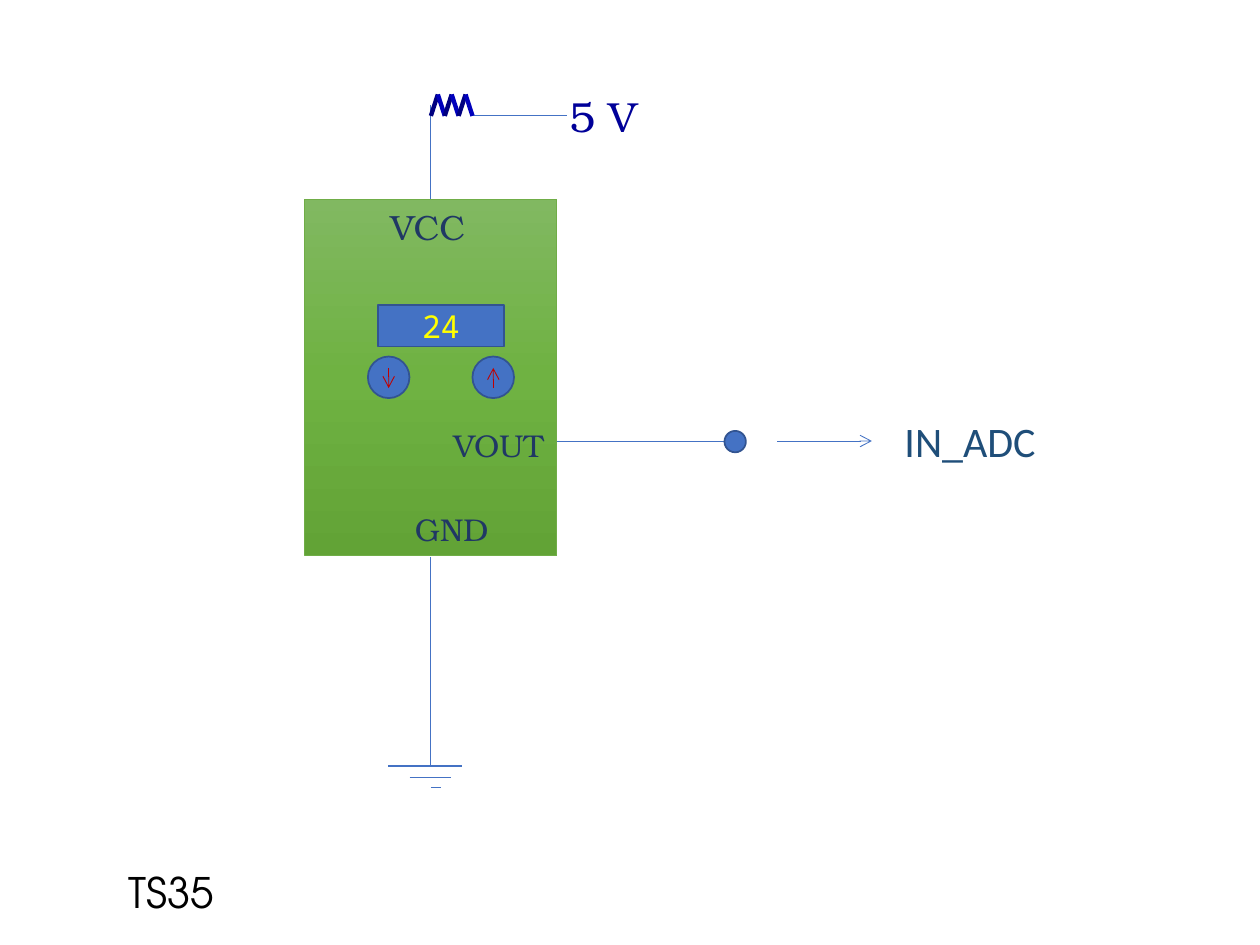
import copy
from dataclasses import dataclass

import pptx
import pptx.dml.color
import pptx.enum.shapes
import pptx.enum.text
import pptx.oxml.ns
import pptx.util
from lxml import etree

Inches = pptx.util.Inches
RGBColor = pptx.dml.color.RGBColor
Shape = pptx.enum.shapes.MSO_SHAPE
Align = pptx.enum.text.PP_ALIGN
qn = pptx.oxml.ns.qn

BLUE = RGBColor(0x44, 0x72, 0xC4)
BLUE_EDGE = RGBColor(0x32, 0x54, 0x91)
NAVY = RGBColor(0x20, 0x38, 0x64)
STEEL = RGBColor(0x1F, 0x4E, 0x79)
SUPPLY_BLUE = RGBColor(0x00, 0x00, 0x99)
COIL_DARK = RGBColor(0x00, 0x00, 0x80)
COIL_LIGHT = RGBColor(0x00, 0x00, 0xBC)
RED = RGBColor(0xC0, 0x00, 0x00)
YELLOW = RGBColor(0xFF, 0xFF, 0x00)
BLACK = RGBColor(0x00, 0x00, 0x00)
GREEN_EDGE = RGBColor(0x70, 0xAD, 0x47)
BOARD_GREENS = (RGBColor(0x81, 0xB8, 0x61), RGBColor(0x6F, 0xB2, 0x42),
                RGBColor(0x62, 0xA3, 0x36))
SERIF = "TeX Gyre Bonum"


@dataclass
class Wire:
    x1: float
    y1: float
    x2: float
    y2: float
    color: RGBColor = BLUE
    width: float = 0.5
    arrow: bool = False


@dataclass
class Label:
    text: str
    left: float
    top: float
    width: float
    height: float
    size: int
    color: RGBColor
    font: str = SERIF
    align: Align = Align.LEFT
    wrap: bool = False


def draw_wire(shapes, wire: Wire) -> None:
    line = shapes.add_connector(
        pptx.enum.shapes.MSO_CONNECTOR.STRAIGHT, Inches(wire.x1), Inches(wire.y1),
        Inches(wire.x2), Inches(wire.y2))
    line.line.color.rgb = wire.color
    line.line.width = pptx.util.Pt(wire.width)
    if wire.arrow:
        etree.SubElement(line.line._get_or_add_ln(), qn("a:tailEnd"), type="arrow")
    etree.SubElement(line._element.spPr, qn("a:effectLst"))


def style_text(frame, text: str, font: str, size: int, color: RGBColor, align: Align) -> None:
    para = frame.paragraphs[0]
    para.text = text
    para.alignment = align
    para.font.name = font
    para.font.size = pptx.util.Pt(size)
    para.font.color.rgb = color


def draw_label(shapes, label: Label) -> None:
    box = shapes.add_textbox(Inches(label.left), Inches(label.top),
                             Inches(label.width), Inches(label.height))
    box.text_frame.word_wrap = label.wrap
    style_text(box.text_frame, label.text, label.font, label.size, label.color, label.align)


def draw_part(shapes, kind: Shape, left: float, top: float, width: float, height: float,
              edge: RGBColor = BLUE_EDGE, edge_width: float = 1):
    part = shapes.add_shape(kind, Inches(left), Inches(top), Inches(width), Inches(height))
    part.shadow.inherit = False
    part.fill.solid()
    part.fill.fore_color.rgb = BLUE
    part.line.color.rgb = edge
    part.line.width = pptx.util.Pt(edge_width)
    return part


def draw_board(shapes) -> None:
    board = draw_part(shapes, Shape.RECTANGLE, 2.42, 1.58, 2, 2.83, GREEN_EDGE, 0.5)
    board.fill.gradient()
    board.fill.gradient_angle = 270
    stop_list = board._element.spPr.find(".//" + qn("a:gsLst"))
    stop_list.insert(1, copy.deepcopy(stop_list[0]))
    for index, (stop, color) in enumerate(zip(board.fill.gradient_stops, BOARD_GREENS)):
        stop.color.rgb = color
        stop.position = index / 2


def main() -> None:
    deck = pptx.Presentation()
    deck.slide_width, deck.slide_height = Inches(10), Inches(7.5)
    shapes = deck.slides.add_slide(deck.slide_layouts[6]).shapes

    draw_board(shapes)

    # Output, ground and supply wires
    wires = [
        Wire(4.42, 3.5, 5.75, 3.5),
        Wire(3.42, 4.42, 3.42, 6.08),
        Wire(3.42, 1.58, 3.42, 0.83),
        Wire(3.75, 0.92, 4.5, 0.92),
        Wire(6.17, 3.5, 6.92, 3.5, arrow=True),
    ]
    # Ground symbol
    wires += [Wire(x1, y, x2, y, width=1)
              for x1, x2, y in ((3.08, 3.67, 6.08), (3.25, 3.58, 6.17), (3.42, 3.5, 6.25))]
    # Zigzag resistor
    step = 0.33 / 6
    for index in range(6):
        x = 3.42 + index * step
        rising = index % 2 == 0
        start, end = (0.92, 0.75) if rising else (0.75, 0.92)
        wires.append(Wire(x, start, x + step, end, COIL_DARK if rising else COIL_LIGHT, 2.5))
    for wire in wires:
        draw_wire(shapes, wire)

    # Output terminal and temperature display
    draw_part(shapes, Shape.FLOWCHART_CONNECTOR, 5.75, 3.42, 0.17, 0.17)
    display = draw_part(shapes, Shape.RECTANGLE, 3, 2.42, 1, 0.33)
    display.text_frame.vertical_anchor = pptx.enum.text.MSO_ANCHOR.MIDDLE
    style_text(display.text_frame, "24", "Noto Sans Mono", 18, YELLOW, Align.CENTER)

    # Down and up buttons
    for left, start, end in ((2.92, 2.92, 3.08), (3.75, 3.08, 2.92)):
        draw_part(shapes, Shape.FLOWCHART_CONNECTOR, left, 2.83, 0.33, 0.33)
        middle = left + 0.165
        draw_wire(shapes, Wire(middle, start, middle, end, RED, arrow=True))

    # Labels
    for label in (
        Label("5 V", 4.42, 0.67, 0.75, 0.5, 24, SUPPLY_BLUE),
        Label("VCC", 3, 1.58, 0.81, 0.44, 20, NAVY),
        Label("GND", 3.17, 4, 0.83, 0.4, 18, NAVY, align=Align.CENTER, wrap=True),
        Label("VOUT", 3.5, 3.33, 1.08, 0.4, 18, NAVY, wrap=True),
        Label("IN_ADC", 7.08, 3.25, 1.25, 0.5, 24, STEEL, "Calibri"),
        Label("TS35", 0.92, 6.83, 1.09, 0.5, 24, BLACK, "TeX Gyre Adventor"),
    ):
        draw_label(shapes, label)

    deck.save("out.pptx")


if __name__ == "__main__":
    main()
